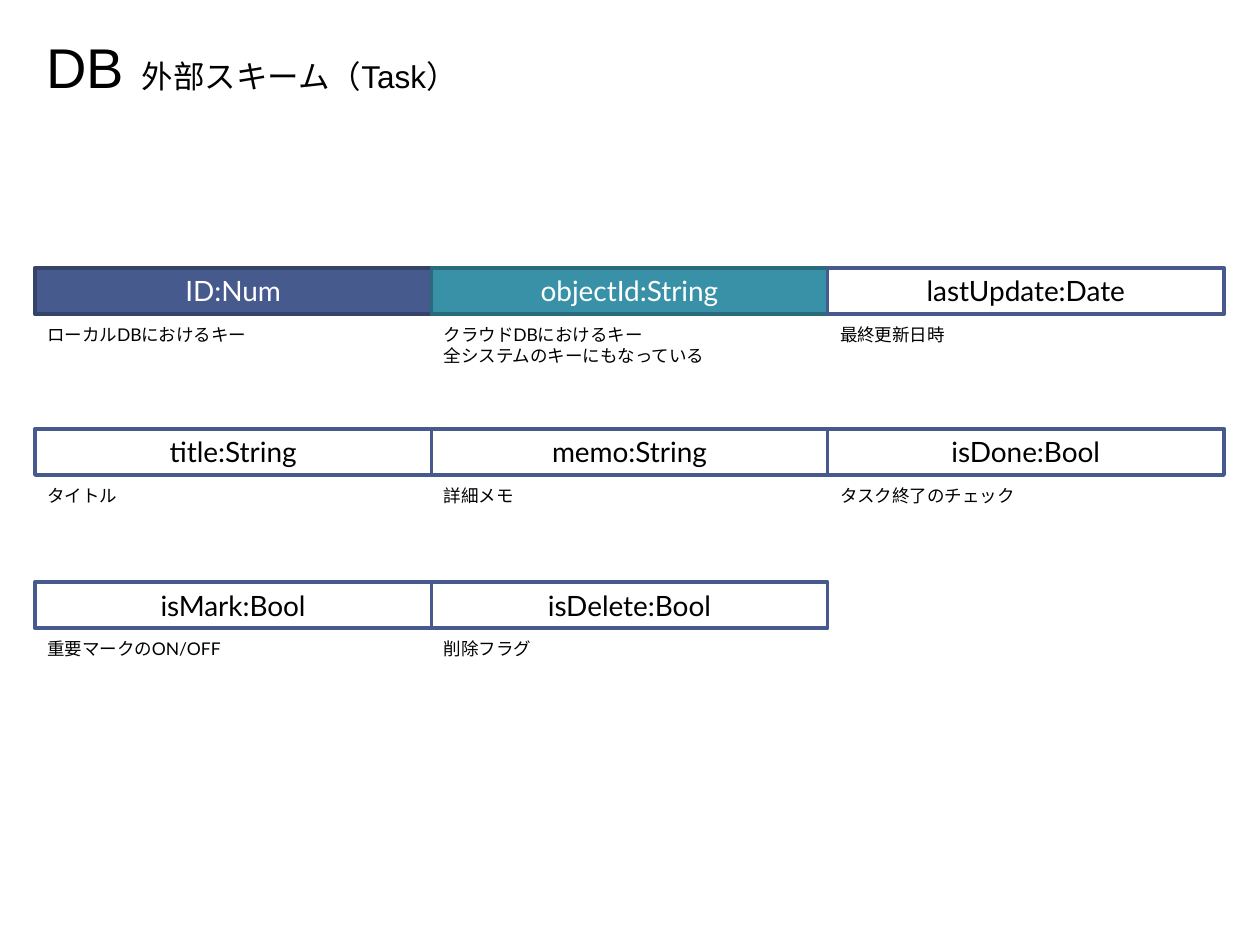
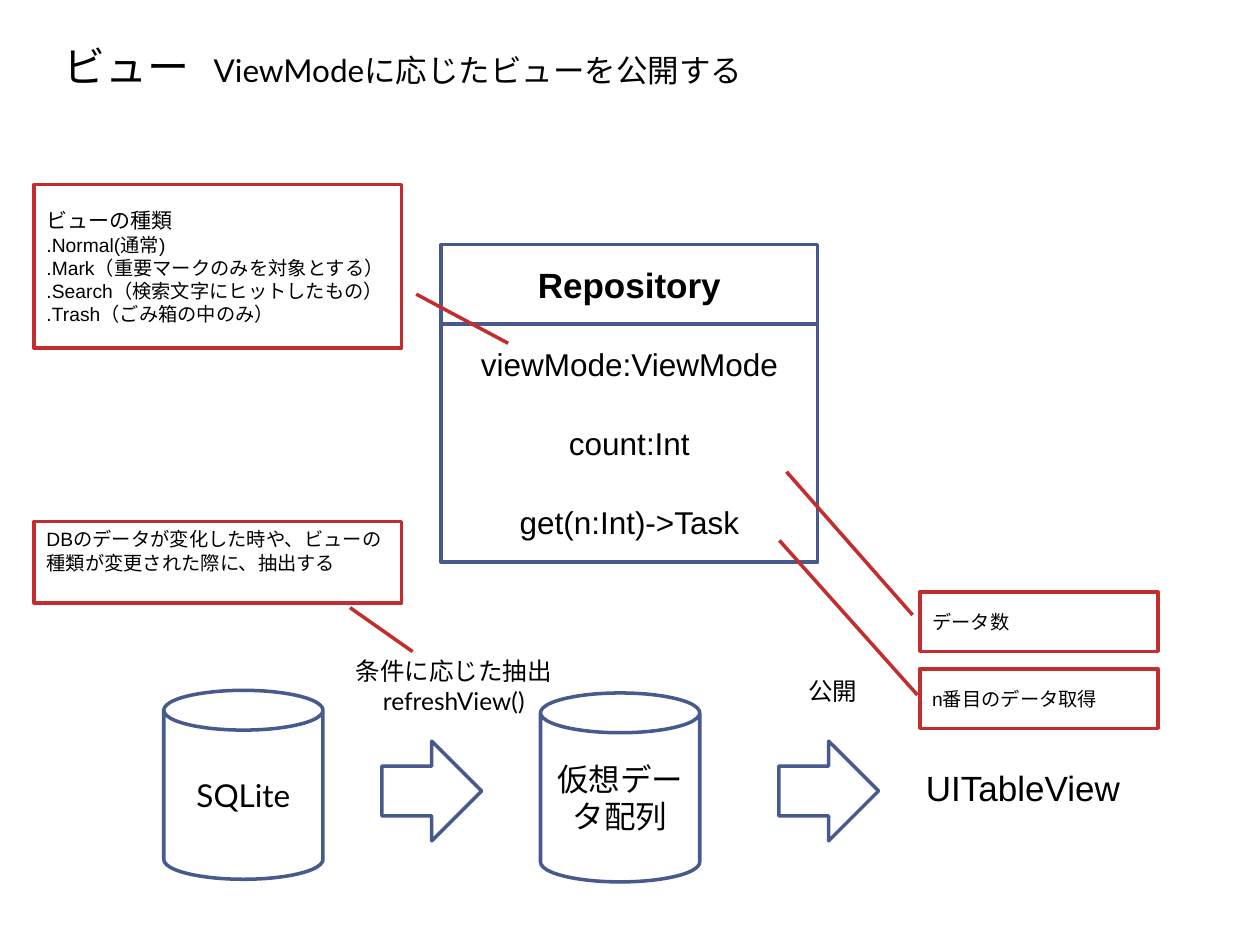
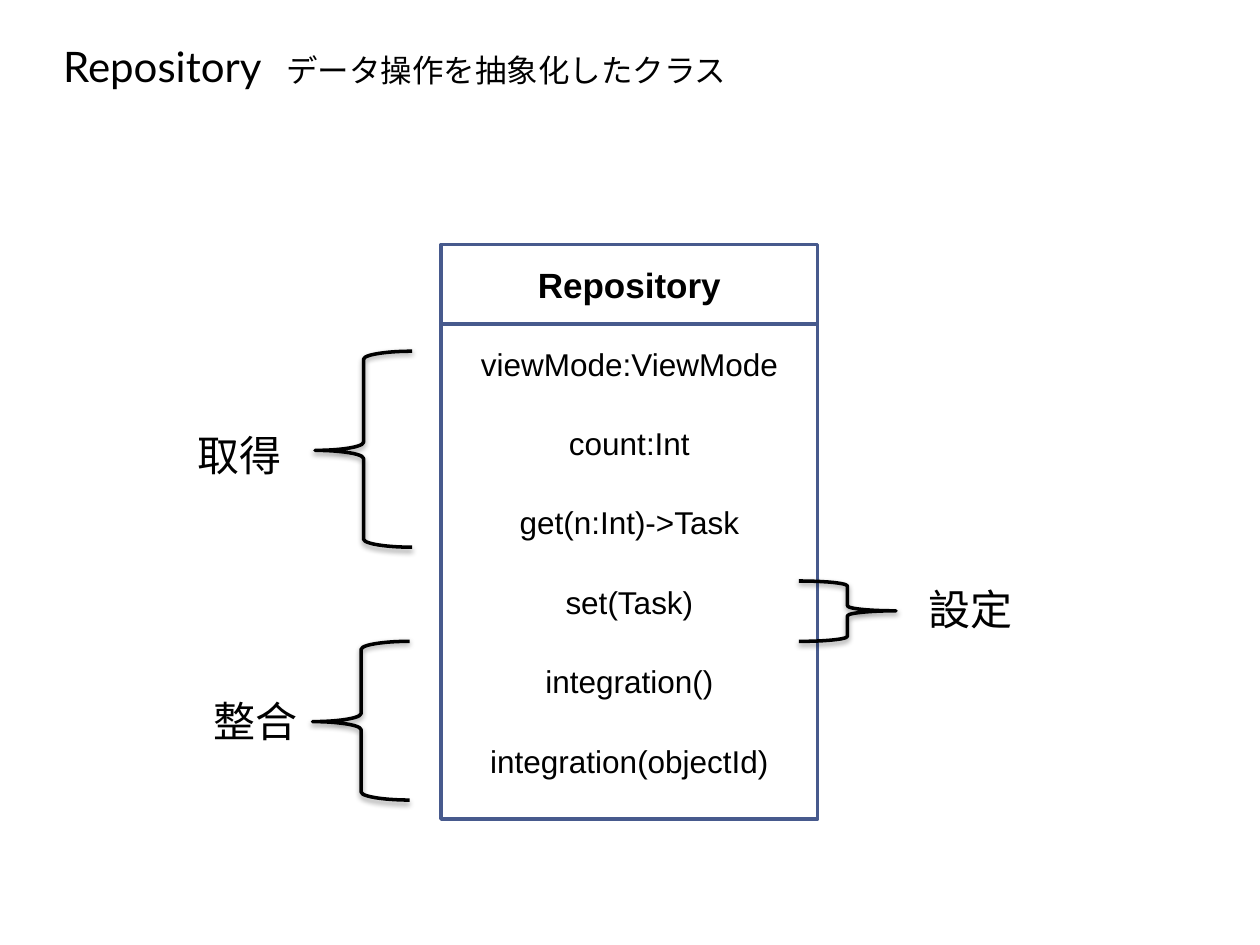
from dataclasses import dataclass

from lxml.etree import SubElement
from pptx import Presentation
from pptx.dml.color import RGBColor
from pptx.enum.shapes import MSO_SHAPE as Preset
from pptx.enum.text import MSO_ANCHOR as Anchor, PP_ALIGN as Align
from pptx.oxml.ns import qn
from pptx.util import Pt

BLACK = RGBColor(0x00, 0x00, 0x00)
WHITE = RGBColor(0xFF, 0xFF, 0xFF)
INDIGO = RGBColor(0x47, 0x5A, 0x8D)
DARK_INDIGO = RGBColor(0x35, 0x43, 0x68)
TEAL = RGBColor(0x38, 0x91, 0xA7)
DARK_TEAL = RGBColor(0x29, 0x6B, 0x7C)
RED = RGBColor(0xC3, 0x2D, 0x2E)

SANS = "Arial"
BODY = "Lato"
LINE_WIDTH = 2

COLUMN_PITCH = 226.5
FIELD_HEIGHT = 26.5
CAPTION_DROP = 28.5
MEMBER_HEIGHT = 45.36

KEY_COLOURS = {
    "ID:Num": (INDIGO, DARK_INDIGO, WHITE),
    "objectId:String": (TEAL, DARK_TEAL, WHITE),
}
PLAIN_COLOURS = (WHITE, INDIGO, BLACK)

TASK_FIELDS = [
    (153, [
        ("ID:Num", ["ローカルDBにおけるキー"]),
        ("objectId:String", ["クラウドDBにおけるキー", "全システムのキーにもなっている"]),
        ("lastUpdate:Date", ["最終更新日時"]),
    ]),
    (245, [
        ("title:String", ["タイトル"]),
        ("memo:String", ["詳細メモ"]),
        ("isDone:Bool", ["タスク終了のチェック"]),
    ]),
    (332.5, [
        ("isMark:Bool", ["重要マークのON/OFF"]),
        ("isDelete:Bool", ["削除フラグ"]),
    ]),
]

READ_MEMBERS = ["viewMode:ViewMode", "count:Int", "get(n:Int)->Task"]
WRITE_MEMBERS = ["set(Task)", "integration()", "integration(objectId)"]


@dataclass
class Box:
    left: float
    top: float
    width: float
    height: float

    def inside(self, dx, dy, width, height):
        return Box(self.left + dx, self.top + dy, width, height)

    def lengths(self):
        return [Pt(v) for v in (self.left, self.top, self.width, self.height)]


CLASS_BOX = Box(252, 139.7, 215.3, MEMBER_HEIGHT)


def apply(target, values):
    for name, value in values.items():
        setattr(target, name, value)


def write(shape, paragraphs, font=BODY, size=10, colour=BLACK, bold=False,
          align=Align.LEFT, anchor=Anchor.TOP):
    frame = shape.text_frame
    apply(frame, {"word_wrap": True, "vertical_anchor": anchor})
    for index, runs in enumerate(paragraphs):
        paragraph = frame.add_paragraph() if index else frame.paragraphs[0]
        paragraph.alignment = align
        if isinstance(runs, str):
            runs = [(runs, size)]
        for text, run_size in runs:
            run = paragraph.add_run()
            run.text = text
            apply(run.font, {"name": font, "size": Pt(run_size), "bold": bold})
            run.font.color.rgb = colour


def add_label(slide, box, paragraphs, **text_format):
    write(slide.shapes.add_textbox(*box.lengths()), paragraphs, **text_format)


def add_outline(slide, preset, box, fill=WHITE, line=INDIGO):
    shape = slide.shapes.add_shape(preset, *box.lengths())
    shape.shadow.inherit = False
    if fill is None:
        shape.fill.background()
    else:
        shape.fill.solid()
        shape.fill.fore_color.rgb = fill
    if line is None:
        shape.line.fill.background()
    else:
        shape.line.color.rgb = line
        shape.line.width = Pt(LINE_WIDTH)
    return shape


def add_heading(slide, box, topic, subtitle, topic_size=24, gap_size=14, font=BODY):
    runs = [(topic, topic_size), ("　", gap_size), (subtitle, 18)]
    add_label(slide, box, [runs], font=font)


def add_field(slide, box, name, caption):
    fill, line, colour = KEY_COLOURS.get(name, PLAIN_COLOURS)
    field = add_outline(slide, Preset.RECTANGLE, box, fill, line)
    write(field, [name], size=16, colour=colour, align=Align.CENTER)
    add_label(slide, box.inside(0, CAPTION_DROP, 200, 19.5), caption)


def add_field_row(slide, box, fields):
    for column, (name, caption) in enumerate(fields):
        cell = box.inside(column * COLUMN_PITCH, 0, COLUMN_PITCH, box.height)
        add_field(slide, cell, name, caption)


def add_class(slide, box, name, members, frame_height):
    centred = {"font": SANS, "align": Align.CENTER, "anchor": Anchor.MIDDLE}
    header = add_outline(slide, Preset.RECTANGLE, box)
    write(header, [name], size=20, bold=True, **centred)
    for row, member in enumerate(members, start=1):
        place = box.inside(0, row * box.height, box.width, box.height)
        cell = add_outline(slide, Preset.RECTANGLE, place, line=None)
        write(cell, [member], size=18, **centred)
    frame = box.inside(0, box.height, box.width, frame_height)
    add_outline(slide, Preset.RECTANGLE, frame, fill=None)


def add_callout(slide, box, pointer, paragraphs, anchor=Anchor.MIDDLE):
    callout = add_outline(slide, Preset.LINE_CALLOUT_1, box, line=RED)
    for index, value in enumerate(pointer):
        callout.adjustments[index] = value
    write(callout, paragraphs, font=SANS, size=11, anchor=anchor)


def add_data_flow(slide, box):
    for dx, dy, store in [(0, 23, "SQLite"), (215.3, 24.5, "仮想データ配列")]:
        can = add_outline(slide, Preset.CAN, box.inside(dx, dy, 91, 108))
        write(can, [store], size=18, align=Align.CENTER, anchor=Anchor.MIDDLE)
    for dx in (124.6, 351.4):
        add_outline(slide, Preset.RIGHT_ARROW, box.inside(dx, 52, 57, 57))
    steps = [
        (box.inside(79.2, 0, 173, 41), ["条件に応じた抽出", "refreshView()"]),
        (box.inside(336.2, 11, 92, 24.5), ["公開"]),
    ]
    for place, step in steps:
        add_label(slide, place, step, size=14, align=Align.CENTER)
    add_label(slide, box.inside(428.4, 62.7, 173, 31.5), ["UITableView"],
              font=SANS, size=20)


def add_soft_shadow(shape):
    effects = shape._element.spPr.find(qn("a:effectLst"))
    shadow = SubElement(effects, qn("a:outerShdw"), blurRad="40000",
                        dist="20000", dir="5400000", rotWithShape="0")
    colour = SubElement(shadow, qn("a:srgbClr"), val=str(BLACK))
    SubElement(colour, qn("a:alpha"), val="38000")


def add_member_group(slide, brace_box, label_box, purpose, rotation=0):
    brace = add_outline(slide, Preset.LEFT_BRACE, brace_box, None, BLACK)
    brace.rotation = rotation
    brace.adjustments[1] = 0.506
    add_soft_shadow(brace)
    add_label(slide, label_box, [purpose], font=SANS, size=24, align=Align.CENTER)


def build_schema(slide):
    add_heading(slide, Box(19.5, 15, 680, 46), "DB", "外部スキーム（Task）",
                topic_size=32, gap_size=10, font=SANS)
    for top, fields in TASK_FIELDS:
        row = Box(20, top, 3 * COLUMN_PITCH, FIELD_HEIGHT)
        add_field_row(slide, row, fields)


def build_view(slide):
    add_heading(slide, Box(29, 19.5, 654, 36), "ビュー",
                "ViewModeに応じたビューを公開する")
    add_class(slide, CLASS_BOX, "Repository", READ_MEMBERS, 136)
    view_kinds = [
        [("ビューの種類", 12)],
        ".Normal(通常)",
        ".Mark（重要マークのみを対象とする）",
        ".Search（検索文字にヒットしたもの）",
        ".Trash（ごみ箱の中のみ）",
    ]
    add_callout(slide, Box(19.5, 105.5, 210, 93.5).inside(0, 0, 210, 93.5),
                (0.67, 1.04, 0.97, 1.29), view_kinds)
    add_callout(slide, Box(525.6, 338.2, 136, 34),
                (0.39, -0.03, -2.02, -0.56), ["データ数"])
    add_callout(slide, Box(525.6, 382.2, 136, 34),
                (0.44, -0.01, -2.16, -0.59), ["n番目のデータ取得"])
    add_callout(slide, Box(19.5, 298, 210, 46.5), (1.06, 0.86, 1.6, 1.03),
                ["DBのデータが変化した時や、ビューの種類が変更された際に、抽出する"],
                anchor=Anchor.TOP)
    add_data_flow(slide, Box(93.6, 371.5, 601, 132.5))


def build_repository(slide):
    add_heading(slide, Box(29, 19.5, 654, 36), "Repository",
                "データ操作を抽象化したクラス")
    add_class(slide, CLASS_BOX, "Repository", READ_MEMBERS + WRITE_MEMBERS, 283)
    add_member_group(slide, Box(180, 200.7, 55.5, 112),
                     Box(93.6, 242, 86.4, 36), "取得")
    add_member_group(slide, Box(178.6, 366.5, 55.5, 90.7),
                     Box(99.4, 393.8, 93, 36), "整合")
    add_member_group(slide, Box(456.5, 332, 55.5, 34.5),
                     Box(512, 330, 85.7, 36), "設定", rotation=180)


def main():
    deck = Presentation()
    apply(deck, {"slide_width": Pt(720), "slide_height": Pt(540)})
    for build in (build_schema, build_view, build_repository):
        build(deck.slides.add_slide(deck.slide_layouts[6]))
    deck.save("out.pptx")


if __name__ == "__main__":
    main()
